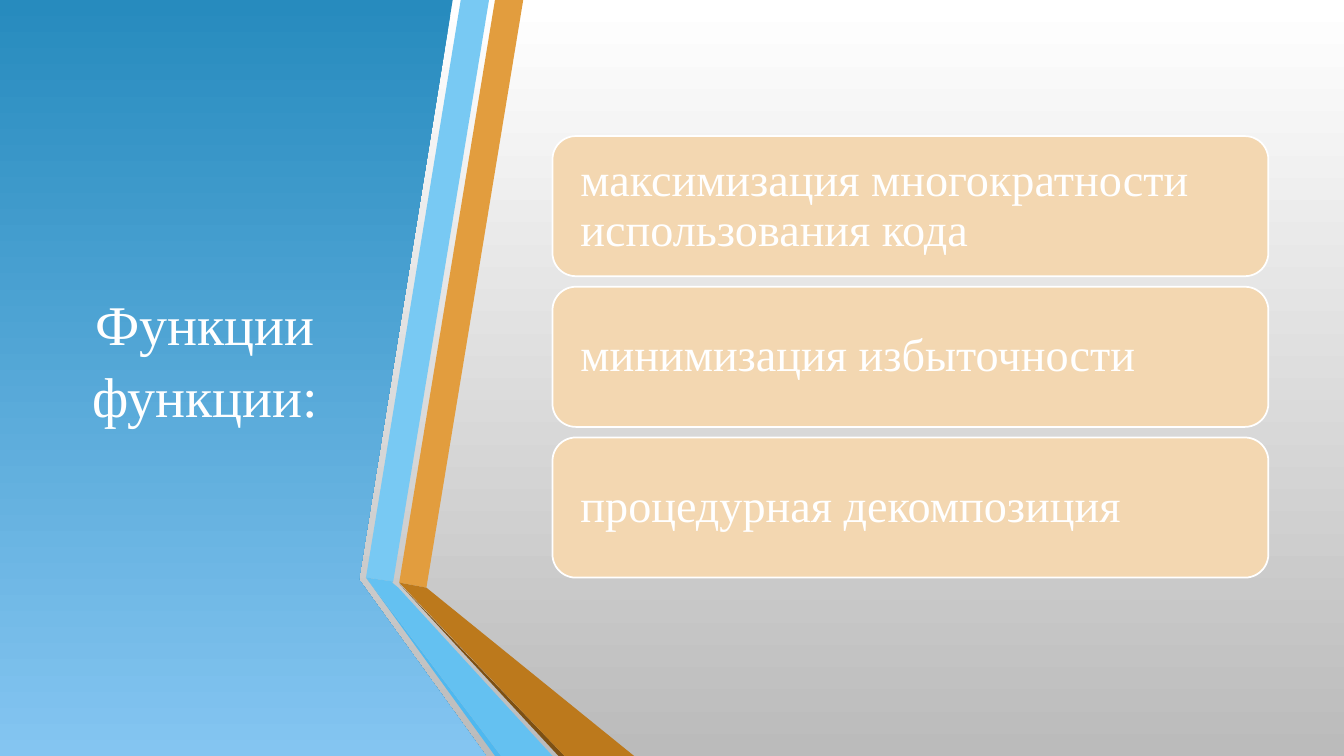
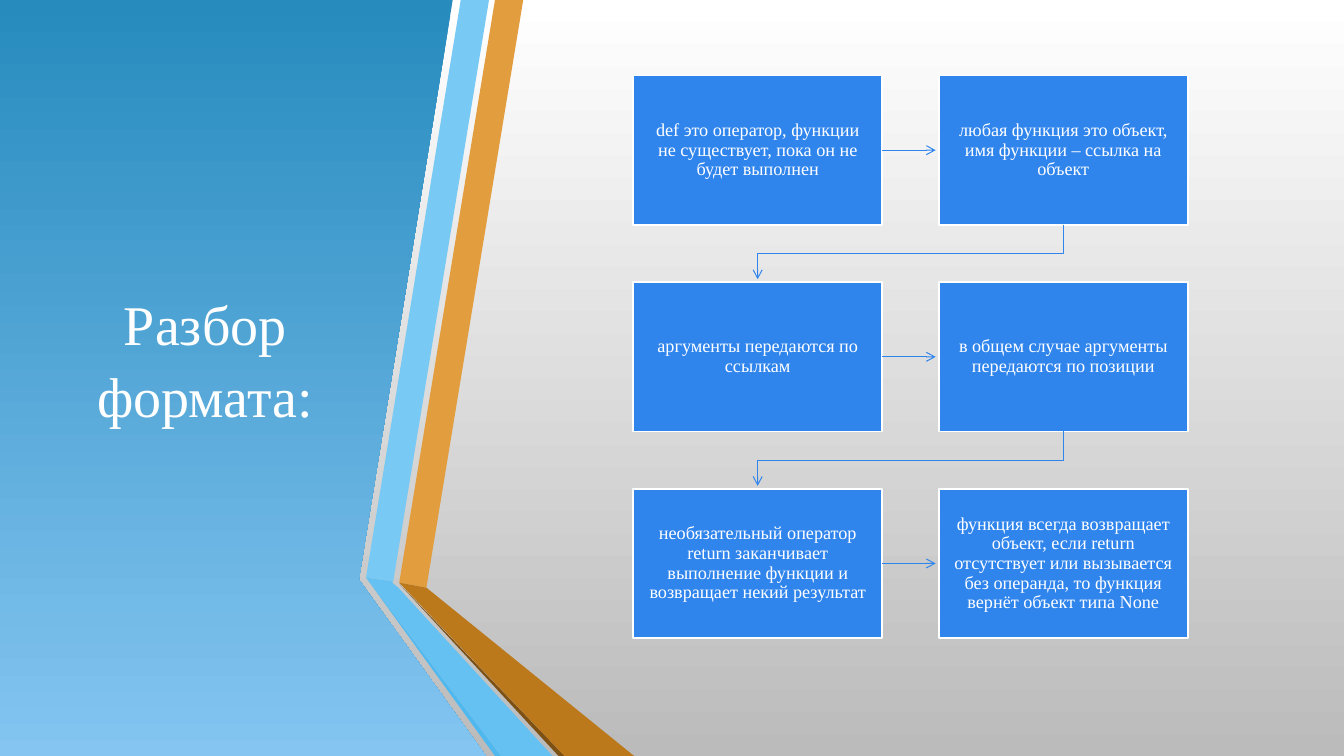
from lxml import etree
from pptx import Presentation
from pptx.dml.color import RGBColor
from pptx.enum.shapes import MSO_CONNECTOR, MSO_SHAPE
from pptx.enum.text import MSO_ANCHOR, PP_ALIGN
from pptx.oxml.ns import qn
from pptx.util import Inches, Pt

RECTANGLE = MSO_SHAPE.RECTANGLE
ROUNDED = MSO_SHAPE.ROUNDED_RECTANGLE
STRAIGHT = MSO_CONNECTOR.STRAIGHT
MIDDLE = MSO_ANCHOR.MIDDLE
LEFT = PP_ALIGN.LEFT
CENTER = PP_ALIGN.CENTER

FONT = "Times New Roman"
WHITE = "FFFFFF"
BLUE = "3085ED"
SAND = "F3D7B1"
BACKDROP = (WHITE, "BBBBBB")
PANEL = ("278BBE", "84C5F1")

TITLE_BOX = (0.59, 0.75, 2.89, 5.58)
LIST_BOX = (5.48, 1.35, 7.1, 4.38)
FLOW_BOX = (6.28, 0.75, 5.5, 5.58)
RIBBON_LEFT = 3.63

PANEL_POINTS = [(0, 0), (4.49, 0), (3.56, 5.75), (4.82, 7.5), (0, 7.5)]
RIBBON = [
    ("E29D3E", [(0.33, 5.78), (0.6, 5.83), (1.56, 0), (1.28, 0)]),
    ("78C9F3", [(1.22, 0), (0.94, 0), (0, 5.73), (0.27, 5.77)]),
    ("4FB8EF", [(0, 5.73), (1.28, 7.5), (1.34, 7.5)]),
    ("7D5013", [(0.33, 5.79), (1.91, 7.5), (1.97, 7.5)]),
    ("BC791C", [(0.33, 5.78), (1.97, 7.5), (2.66, 7.5), (0.6, 5.83)]),
    ("64C1F1", [(1.85, 7.5), (0.32, 5.83), (0.26, 5.78), (0.27, 5.77),
                (0, 5.73), (1.34, 7.5)]),
]

FUNCTION_ROLES = [
    "максимизация многократности использования кода",
    "минимизация избыточности",
    "процедурная декомпозиция",
]
FORMAT_STEPS = [
    "def это оператор, функции не существует, пока он не будет выполнен",
    "любая функция это объект, имя функции – ссылка на объект",
    "аргументы передаются по ссылкам",
    "в общем случае аргументы передаются по позиции",
    "необязательный оператор return заканчивает выполнение функции "
    "и возвращает некий результат",
    "функция всегда возвращает объект, если return отсутствует или "
    "вызывается без операнда, то функция вернёт объект типа None",
]


def color(code):
    """Turn a hex string into a colour."""
    return RGBColor.from_string(code)


def fill_gradient(fill, codes):
    """Fill from the first colour at the top to the second at the bottom."""
    fill.gradient()
    fill.gradient_angle = 270
    for stop, code in zip(fill.gradient_stops, codes):
        stop.color.rgb = color(code)


def add_outline(slide, points, left=0, close=True):
    """Draw a freeform through points given in inches from left."""
    corners = [(Inches(left + x), Inches(y)) for x, y in points]
    builder = slide.shapes.build_freeform(*corners[0], scale=1.0)
    builder.add_line_segments(corners[1:], close=close)
    shape = builder.convert_to_shape()
    shape.shadow.inherit = False
    return shape


def write(frame, text, size, align, spacing, margins):
    """Write one styled paragraph, centred vertically in its frame."""
    frame.word_wrap = True
    frame.vertical_anchor = MIDDLE
    frame.margin_left = frame.margin_right = Inches(margins[0])
    frame.margin_top = frame.margin_bottom = Inches(margins[1])
    frame.text = text
    para = frame.paragraphs[0]
    para.alignment = align
    para.line_spacing = spacing
    font = para.runs[0].font
    font.name = FONT
    font.size = Pt(size)
    font.color.rgb = color(WHITE)


def add_card(slide, kind, box, fill):
    """Add a filled card with a white border and return its text frame."""
    card = slide.shapes.add_shape(kind, *map(Inches, box))
    card.shadow.inherit = False
    card.fill.solid()
    card.fill.fore_color.rgb = color(fill)
    card.line.color.rgb = color(WHITE)
    card.line.width = Pt(1.25)
    return card.text_frame


def style_arrow(shape):
    """Give a line its colour and open arrowhead, without a shadow."""
    shape.line.color.rgb = color(BLUE)
    shape.line.width = Pt(0.75)
    properties = shape.element.spPr
    etree.SubElement(properties.find(qn("a:ln")), qn("a:tailEnd"), type="arrow")
    if properties.find(qn("a:effectLst")) is None:
        etree.SubElement(properties, qn("a:effectLst"))


def add_side_panel(slide, title):
    """Draw the blue panel, its folded ribbon and the slide title."""
    panel = add_outline(slide, PANEL_POINTS)
    fill_gradient(panel.fill, PANEL)
    panel.line.fill.background()
    heading = slide.shapes.add_textbox(*map(Inches, TITLE_BOX))
    write(heading.text_frame, title, 40, CENTER, 1.07, (0.1, 0.05))
    for code, points in RIBBON:
        strip = add_outline(slide, points, RIBBON_LEFT)
        strip.fill.solid()
        strip.fill.fore_color.rgb = color(code)
        strip.line.fill.background()


def add_list(slide, box, items):
    """Stack rounded cards evenly in the box."""
    left, top, width, height = box
    card_height = 1.39
    pitch = (height - card_height) / (len(items) - 1)
    for index, item in enumerate(items):
        place = (left, top + index * pitch, width, card_height)
        frame = add_card(slide, ROUNDED, place, SAND)
        write(frame, item, 33, LEFT, 0.9, (0.21, 0.2))


def add_flow(slide, box, steps):
    """Lay steps out in two columns and join them in reading order."""
    left, top, width, height = box
    card_width, card_height, clearance = 2.47, 1.48, 0.03
    column_pitch = width - card_width
    row_pitch = (height - card_height) / (len(steps) // 2 - 1)
    for index, step in enumerate(steps):
        row, column = divmod(index, 2)
        x, y = left + column * column_pitch, top + row * row_pitch
        frame = add_card(slide, RECTANGLE, (x, y, card_width, card_height), BLUE)
        write(frame, step, 13, CENTER, 0.9, (0.12, 0.13))
        if column == 0:
            middle = y + card_height / 2
            ends = (x + card_width, middle, x + column_pitch - clearance, middle)
            style_arrow(slide.shapes.add_connector(STRAIGHT, *map(Inches, ends)))
        elif index < len(steps) - 1:
            start, end = x + card_width / 2, left + card_width / 2
            bottom, following = y + card_height, y + row_pitch
            turn = (bottom + following) / 2
            elbow = add_outline(slide, [
                (start, bottom), (start, turn),
                (end, turn), (end, following - clearance)], close=False)
            elbow.fill.background()
            style_arrow(elbow)


def main():
    """Build and save the deck."""
    deck = Presentation()
    deck.slide_width, deck.slide_height = Inches(13.33), Inches(7.5)
    blank = deck.slide_layouts[6]
    pages = [
        ("Функции функции:", add_list, LIST_BOX, FUNCTION_ROLES),
        ("Разбор формата:", add_flow, FLOW_BOX, FORMAT_STEPS),
    ]
    for title, add_content, box, items in pages:
        slide = deck.slides.add_slide(blank)
        fill_gradient(slide.background.fill, BACKDROP)
        add_side_panel(slide, title)
        add_content(slide, box, items)
    deck.save("out.pptx")


if __name__ == "__main__":
    main()
